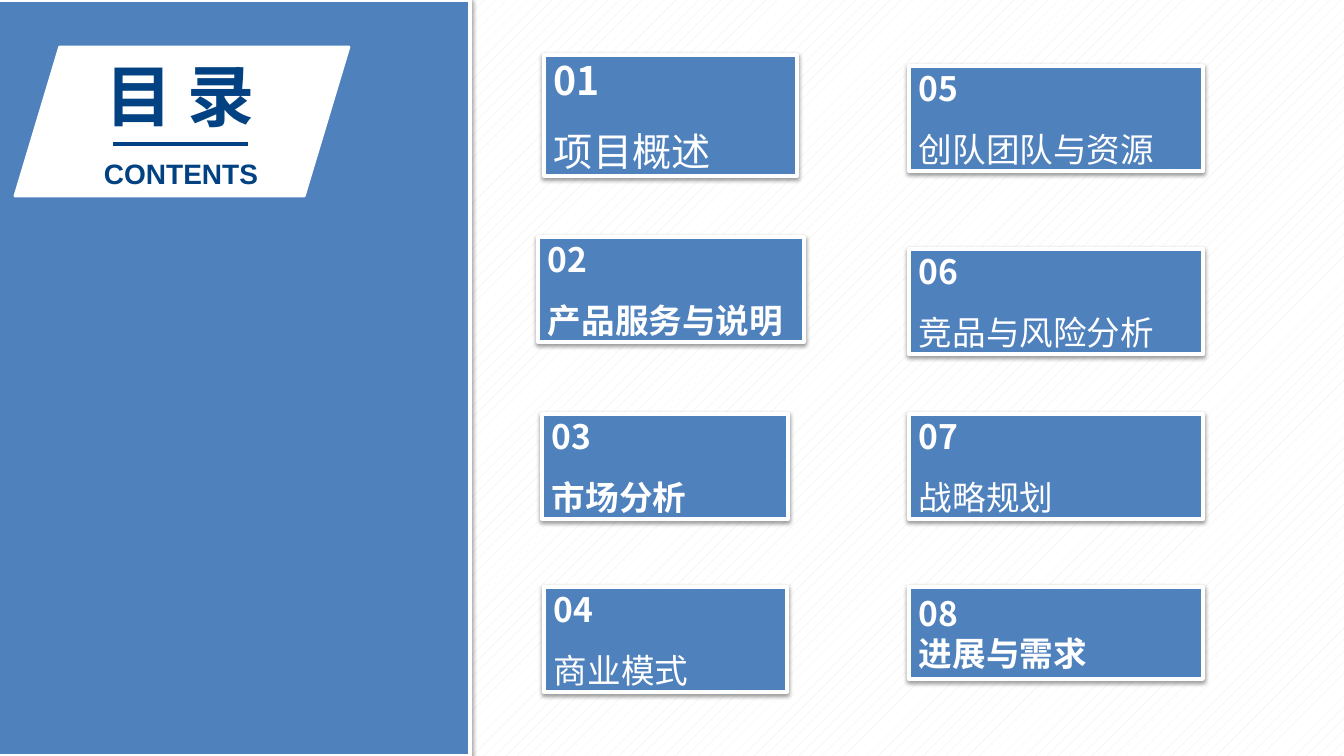
"""Build a contents slide with a blue side panel and eight numbered section boxes."""
import pptx
import pptx.dml.color
import pptx.enum.dml
import pptx.enum.shapes
import pptx.enum.text
import pptx.oxml.ns
import pptx.util
from lxml import etree

PX = 914400 / 100.8
COLORS = {"blue": "4F81BD", "navy": "024282", "white": "FFFFFF", "cream": "EEECE1", "black": "000000"}
RGB = {name: pptx.dml.color.RGBColor.from_string(value) for name, value in COLORS.items()}
CJK = "Noto Sans CJK SC"
SHAPE = pptx.enum.shapes.MSO_SHAPE
ALIGN = pptx.enum.text.PP_ALIGN
ANCHOR = pptx.enum.text.MSO_ANCHOR
qn = pptx.oxml.ns.qn


def add_block(kind, box, fill, line_pt, shadow):
    sp = s.shapes.add_shape(kind, *[round(v * PX) for v in box])
    sp.fill.solid()
    sp.fill.fore_color.rgb = RGB[fill]
    sp.line.color.rgb = RGB["white"]
    sp.line.width = pptx.util.Pt(line_pt)
    sp.shadow.inherit = False
    if shadow:
        effects = sp._element.spPr.find(qn("a:effectLst"))
        outer = etree.SubElement(effects, qn("a:outerShdw"), blurRad="39400", dist="20300",
                                 dir="5400000", rotWithShape="0")
        color = etree.SubElement(outer, qn("a:srgbClr"), val=COLORS["black"])
        etree.SubElement(color, qn("a:alpha"), val="38000")
    return sp


def write(tf, anchor, align, color, font, lines):
    for name, value in {"word_wrap": True, "vertical_anchor": anchor,
                        "auto_size": pptx.enum.text.MSO_AUTO_SIZE.SHAPE_TO_FIT_TEXT}.items():
        setattr(tf, name, value)
    for i, (text, size, bold, spacing) in enumerate(lines):
        p = tf.add_paragraph() if i else tf.paragraphs[0]
        p.alignment = align
        p.line_spacing = spacing
        r = p.add_run()
        r.text = text
        r.font.color.rgb = RGB[color]
        for name, value in {"size": pptx.util.Pt(size), "bold": bold, "name": font}.items():
            setattr(r.font, name, value)
        etree.SubElement(r.font._element, qn("a:ea"), typeface=font)


prs = pptx.Presentation()
prs.slide_width, prs.slide_height = round(1344 * PX), round(756 * PX)
s = prs.slides.add_slide(prs.slide_layouts[5])
bg = s.background.fill
bg.patterned()
bg.pattern = pptx.enum.dml.MSO_PATTERN.PERCENT_10
bg.fore_color.rgb = RGB["cream"]
bg.back_color.rgb = RGB["white"]

add_block(SHAPE.RECTANGLE, (-4, 0, 474, 756), "blue", 3, True)
plate = add_block(SHAPE.PARALLELOGRAM, (15, 47, 334, 149), "white", 2, False)
plate.adjustments[0] = 0.3

subtitle = s.shapes.add_textbox(*[round(v * PX) for v in (83, 152, 196, 44)])
write(subtitle.text_frame, ANCHOR.TOP, ALIGN.CENTER, "navy", "Arial", [("CONTENTS", 20, True, 1.0)])

title = s.shapes.title
for name, value in {"left": 47, "top": 49, "width": 266, "height": 92}.items():
    setattr(title, name, round(value * PX))
write(title.text_frame, ANCHOR.TOP, ALIGN.CENTER, "navy", CJK, [("目 录", 48, True, 1.0)])
plate._element.addnext(title._element)

rule = s.shapes.add_connector(pptx.enum.shapes.MSO_CONNECTOR.STRAIGHT,
                              *[round(v * PX) for v in (113, 144, 248, 144)])
rule.line.color.rgb = RGB["navy"]
rule.line.width = pptx.util.Pt(2.25)
etree.SubElement(rule._element.spPr, qn("a:effectLst"))

sections = [
    ("项目概述", (544, 55, 253, 121), 28, False, 1.5),
    ("产品服务与说明", (538, 237, 266, 105), 24, True, 1.5),
    ("市场分析", (542, 414, 246, 105), 24, True, 1.5),
    ("商业模式", (544, 587, 243, 105), 24, False, 1.5),
    ("创队团队与资源", (909, 66, 294, 105), 24, False, 1.5),
    ("竞品与风险分析", (909, 249, 294, 105), 24, False, 1.5),
    ("战略规划", (909, 414, 294, 105), 24, False, 1.5),
    ("进展与需求", (909, 587, 294, 92), 24, True, 1.0),
]
for n, (label, box, size, bold, spacing) in enumerate(sections, 1):
    sp = add_block(SHAPE.RECTANGLE, box, "blue", 3, True)
    write(sp.text_frame, ANCHOR.MIDDLE, ALIGN.LEFT, "white", CJK,
          [(f"{n:02}", size, True, 1.0), (label, size, bold, spacing)])

prs.save("out.pptx")
